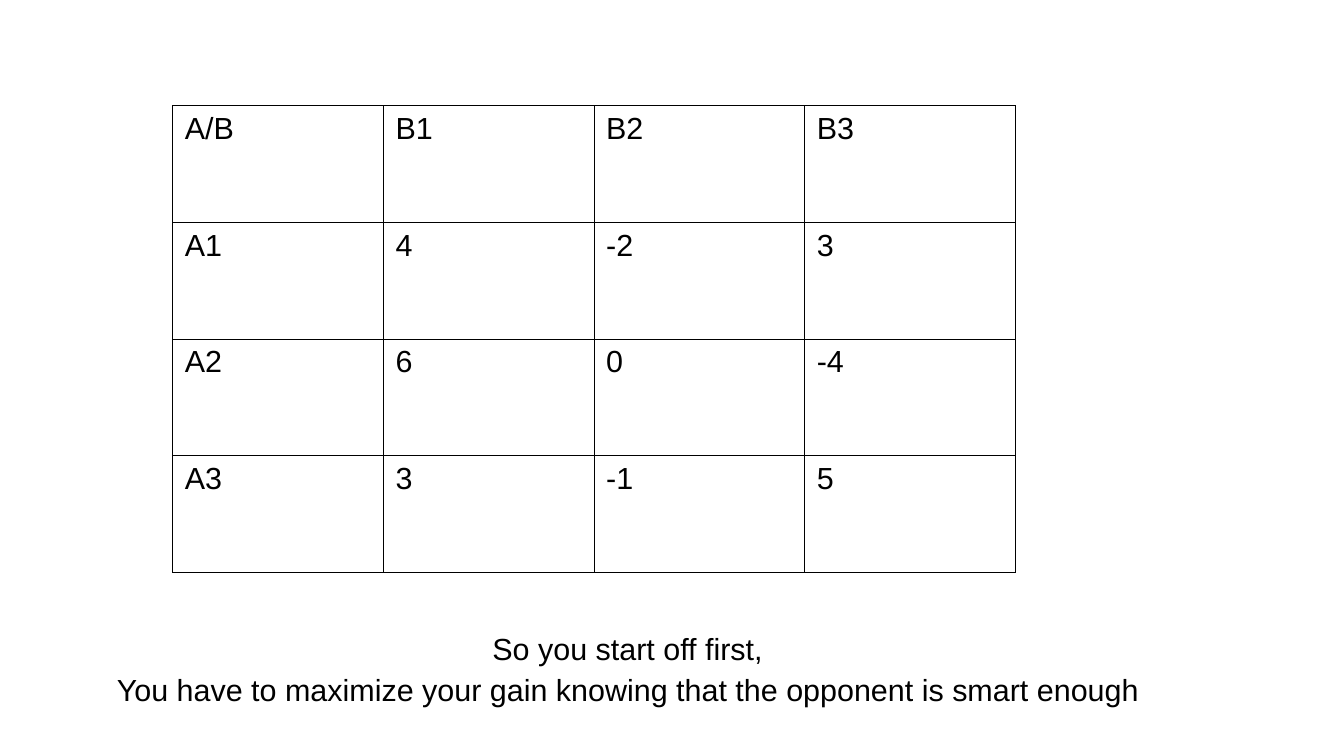
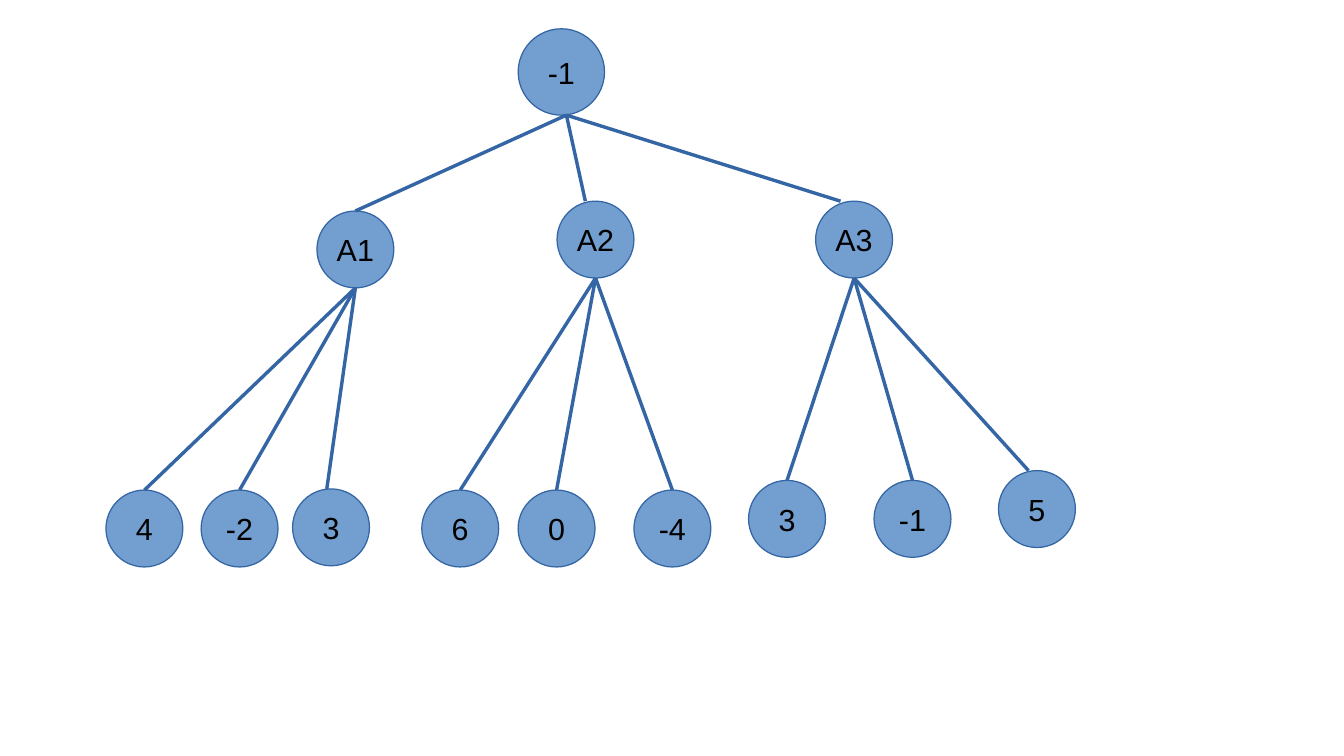
from dataclasses import dataclass

from lxml.etree import SubElement
from pptx import Presentation
from pptx.dml.color import RGBColor as Rgb
from pptx.enum.shapes import MSO_CONNECTOR as Connector, MSO_SHAPE as Shape
from pptx.enum.text import MSO_ANCHOR as Anchor, MSO_AUTO_SIZE as AutoSize, PP_ALIGN as Align
from pptx.oxml.ns import qn
from pptx.util import Pt


@dataclass(frozen=True)
class Theme:
    font: str = "Arial"
    text_size: float = 18
    text: str = "000000"
    node_fill: str = "729FCF"
    node_line: str = "3465A4"
    hairline: float = 0
    grid_line: float = 0.57
    root_size: float = 51
    node_size: float = 45.4


THEME = Theme()

# Payoffs: each row is a move of A, each column a move of B
B_MOVES = ["B1", "B2", "B3"]
PAYOFFS = {"A1": [4, -2, 3], "A2": [6, 0, -4], "A3": [3, -1, 5]}
GAME_VALUE = max(min(row) for row in PAYOFFS.values())

# Tree positions: left, top, sideways shift of the branch's lower end
ROOT_PLACE = (306, 17)
ROOT_BRANCH_SHIFT = 3
MOVE_PLACES = {"A1": (187.2, 124.6, 0), "A2": (329, 118.8, -6), "A3": (481.7, 118.8, -8)}
PAYOFF_PLACES = {
    "A1": [(62.6, 289.4, 0), (118.8, 289.4, 0), (172.8, 288.7, -2.5)],
    "A2": [(249.1, 289.4, 0), (306, 289.4, 0), (374.4, 289.4, 0)],
    "A3": [(442.1, 283.7, 0), (516.2, 283.7, 0), (589.7, 277.9, -5)],
}


def style_text(frame, align=None):
    for paragraph in frame.paragraphs:
        paragraph.alignment = align
        for run in paragraph.runs:
            run.font.name = THEME.font
            run.font.size = Pt(THEME.text_size)
            run.font.color.rgb = Rgb.from_string(THEME.text)


def border_cell(cell):
    properties = cell._tc.get_or_add_tcPr()
    for position, side in enumerate(("a:lnL", "a:lnR", "a:lnT", "a:lnB")):
        border = SubElement(properties, qn(side), w=str(Pt(THEME.grid_line)))
        fill = SubElement(border, qn("a:solidFill"))
        SubElement(fill, qn("a:srgbClr"), val=THEME.text)
        properties.insert(position, border)  # borders come before the fill


def add_grid(slide, rows, left, top, column_width, row_height):
    columns = len(rows[0])
    grid = slide.shapes.add_table(
        len(rows), columns, Pt(left), Pt(top),
        Pt(column_width * columns), Pt(row_height * len(rows))).table
    grid.first_row = grid.horz_banding = False
    for column in grid.columns:
        column.width = Pt(column_width)
    for row, values in zip(grid.rows, rows):
        row.height = Pt(row_height)
        for cell, value in zip(row.cells, values):
            cell.text_frame.text = str(value)
            style_text(cell.text_frame)
            cell.fill.background()
            border_cell(cell)


def add_caption(slide, words, left, top, width, height=27.4):
    frame = slide.shapes.add_textbox(Pt(left), Pt(top), Pt(width), Pt(height)).text_frame
    frame.word_wrap = False
    frame.auto_size = AutoSize.SHAPE_TO_FIT_TEXT
    frame.text = words
    style_text(frame)


def add_node(slide, label, left, top, size=THEME.node_size):
    node = slide.shapes.add_shape(Shape.OVAL, Pt(left), Pt(top), Pt(size), Pt(size))
    node.shadow.inherit = False
    node.fill.solid()
    node.fill.fore_color.rgb = Rgb.from_string(THEME.node_fill)
    node.line.color.rgb = Rgb.from_string(THEME.node_line)
    node.line.width = Pt(THEME.hairline)
    frame = node.text_frame
    frame.word_wrap = False
    frame.vertical_anchor = Anchor.MIDDLE
    frame.text = str(label)
    style_text(frame, Align.CENTER)
    return node


def add_branch(slide, parent, child, parent_shift=0, child_shift=0):
    branch = slide.shapes.add_connector(
        Connector.STRAIGHT,
        parent.left + parent.width // 2 + Pt(parent_shift), parent.top + parent.height,
        child.left + child.width // 2 + Pt(child_shift), child.top)
    branch.line.color.rgb = Rgb.from_string(THEME.node_line)
    branch.line.width = Pt(THEME.hairline)
    SubElement(branch._element.spPr, qn("a:effectLst"))
    if not child_shift:
        branch.end_connect(child, 0)


def build_payoff_slide(slide):
    rows = [["A/B", *B_MOVES]] + [[move, *row] for move, row in PAYOFFS.items()]
    add_grid(slide, rows, left=102, top=62.4, column_width=124.4, row_height=68.9)
    add_caption(slide, "So you start off first,", 283.7, 368.6, 174.2)
    add_caption(slide, "You have to maximize your gain knowing that the opponent is smart enough",
                61.9, 392.4, 632.9)


def build_tree_slide(slide):
    # Nodes first, so that the branches lie above them
    root = add_node(slide, GAME_VALUE, *ROOT_PLACE, THEME.root_size)
    branches = []
    for move, (left, top, shift) in MOVE_PLACES.items():
        move_node = add_node(slide, move, left, top)
        branches.append((root, move_node, ROOT_BRANCH_SHIFT, shift))
        for payoff, (left, top, shift) in zip(PAYOFFS[move], PAYOFF_PLACES[move]):
            payoff_node = add_node(slide, payoff, left, top)
            branches.append((move_node, payoff_node, 0, shift))
    for branch in branches:
        add_branch(slide, *branch)


def main():
    deck = Presentation()
    deck.slide_width, deck.slide_height = Pt(793.7), Pt(446.4)
    blank = deck.slide_layouts[6]
    for build in (build_payoff_slide, build_tree_slide):
        build(deck.slides.add_slide(blank))
    deck.save("out.pptx")


if __name__ == "__main__":
    main()
